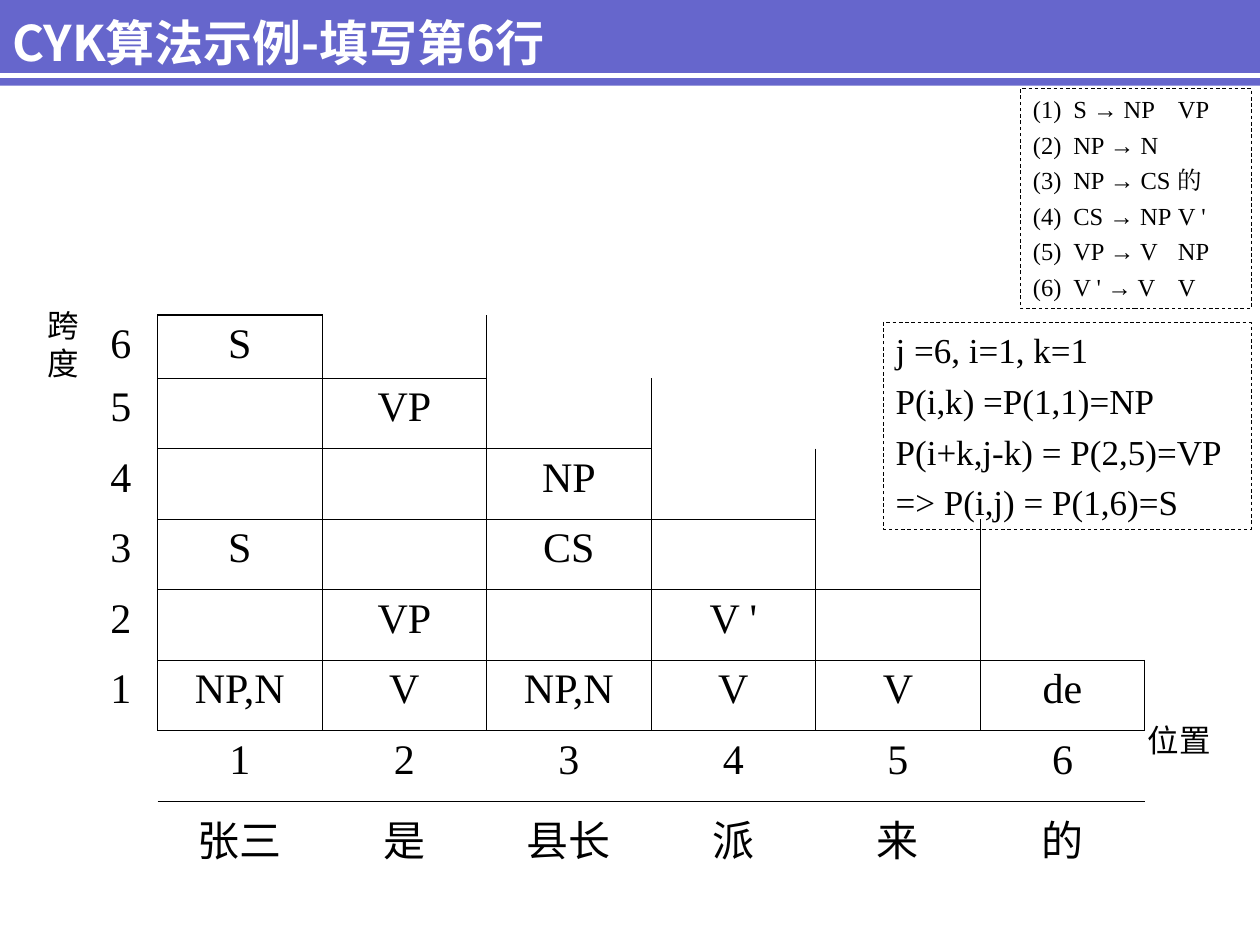
"""Build the CYK algorithm slide that fills in row 6 of the chart."""
from lxml import etree
from pptx import Presentation, util as u
from pptx.dml.color import RGBColor
from pptx.enum import dml, shapes, text
from pptx.oxml import ns

CJK, SERIF, SANS, LABEL = "Noto Sans CJK SC", "Times New Roman", "Arial", "Calibri"
THEME = {
    "bar": RGBColor(0x66, 0x66, 0xCC),
    "white": RGBColor(255, 255, 255),
    "ink": RGBColor(0, 0, 0),
    "title": {"size": u.Pt(28), "name": CJK, "bold": True},
    "cell": {"size": u.Pt(24), "name": SERIF},
    "axis": {"size": u.Pt(18), "name": LABEL},
    "steps": {"size": u.Pt(20), "name": SERIF},
    "rules": {"size": u.Pt(14), "name": SERIF},
}
NO_GRID = "{2D5ABB26-0587-4C30-8999-92F81FD0307C}"


def add_tag(parent, tag, **attributes):
    return etree.SubElement(parent, ns.qn(tag), attributes)


def write(frame, lines, style, color="ink", gap=0, tabs=(), align=text.PP_ALIGN.LEFT, east=None):
    frame.word_wrap = True
    for index, line in enumerate(lines):
        para = frame.add_paragraph() if index else frame.paragraphs[0]
        para.alignment = align
        if index:
            para.space_before = u.Pt(gap)
        if tabs:
            stops = add_tag(para._p.get_or_add_pPr(), "a:tabLst")
            for stop in tabs:
                add_tag(stops, "a:tab", pos=str(u.Inches(stop)), algn="l")
        for piece in filter(None, line.partition("→")):
            span = para.add_run()
            span.text = piece
            values = dict(THEME[style])
            if piece == "→":
                values["name"] = SANS
            for key, value in values.items():
                setattr(span.font, key, value)
            span.font.color.rgb = THEME[color]
            add_tag(span._r.get_or_add_rPr(), "a:ea", typeface=east or values["name"])


deck = Presentation()
deck.slide_width, deck.slide_height = u.Inches(10), u.Inches(7.5)
page = deck.slides.add_slide(deck.slide_layouts[6])

bar = page.shapes.add_shape(
    shapes.MSO_SHAPE.RECTANGLE, u.Inches(-0.04), u.Inches(-0.03), u.Inches(10.04), u.Inches(0.71))
bar.shadow.inherit = False
bar.fill.solid()
bar.fill.fore_color.rgb = THEME["bar"]
bar.line.fill.background()

stripe = page.shapes.add_connector(
    shapes.MSO_CONNECTOR.STRAIGHT, u.Inches(-0.04), u.Inches(0.6), u.Inches(10), u.Inches(0.6))
stripe.line.color.rgb = THEME["white"]
stripe.line.width = u.Pt(3)
add_tag(stripe._element.spPr, "a:effectLst")

title = page.shapes.add_textbox(u.Inches(0), u.Inches(-0.11), u.Inches(9.5), u.Inches(0.88))
title.text_frame.vertical_anchor = text.MSO_ANCHOR.MIDDLE
write(title.text_frame, ["CYK算法示例-填写第6行"], "title", color="white")

chart_rows = [
    ["6", "S"],
    ["5", "", "VP"],
    ["4", "", "", "NP"],
    ["3", "S", "", "CS", ""],
    ["2", "", "VP", "", "V '", ""],
    ["1", "NP,N", "V", "NP,N", "V", "V", "de"],
    ["", "1", "2", "3", "4", "5", "6"],
    ["", "张三", "是", "县长", "派", "来", "的"],
]
column_widths = [0.58] + [1.306] * 6
row_heights = [0.5] + [0.56] * 6 + [0.55]
frame = page.shapes.add_table(8, 7, u.Inches(0.67), u.Inches(2.5), u.Inches(8.42), u.Inches(4.39))
table = frame.table
table.first_row = table.horz_banding = False
table._tbl.tblPr.find(ns.qn("a:tableStyleId")).text = NO_GRID
for column, width in zip(table.columns, column_widths):
    column.width = u.Inches(width)
for row, height in zip(table.rows, row_heights):
    row.height = u.Inches(height)

boxed = {(row, column) for row in range(6) for column in range(1, row + 2)}
sides = {"a:lnL": (0, -1), "a:lnR": (0, 1), "a:lnT": (-1, 0), "a:lnB": (1, 0)}
for row in range(8):
    for column in range(7):
        cell = table.cell(row, column)
        words = chart_rows[row][column] if column < len(chart_rows[row]) else ""
        write(cell.text_frame, [words], "cell", align=text.PP_ALIGN.CENTER, east=CJK)
        properties = cell._tc.get_or_add_tcPr()
        for side, (down, across) in sides.items():
            if boxed & {(row, column), (row + down, column + across)}:
                points = 1.08 if (row, column, side) == (0, 1, "a:lnT") else 0.45
                border = add_tag(properties, side, w=str(u.Pt(points)))
                add_tag(add_tag(border, "a:solidFill"), "a:srgbClr", val=str(THEME["ink"]))
        cell.fill.background()
for row in range(2):
    table.cell(row, 4).merge(table.cell(row, 6))

for words, left, top, width, height in [
    ("跨度", 0.28, 2.38, 0.6, 0.7),
    ("位置", 9.01, 5.67, 0.98, 0.4),
]:
    box = page.shapes.add_textbox(*map(u.Inches, (left, top, width, height)))
    write(box.text_frame, [words], "axis")

steps = ["j =6, i=1, k=1", "P(i,k) =P(1,1)=NP", "P(i+k,j-k) = P(2,5)=VP", "=> P(i,j) = P(1,6)=S"]
rules = [
    "(1)\tS → NP\tVP",
    "(2)\tNP → N",
    "(3)\tNP → CS\t的",
    "(4)\tCS → NP\tV '",
    "(5)\tVP → V\tNP",
    "(6)\tV ' → V\tV",
]
for lines, style, gap, tabs, place in [
    (steps, "steps", 5, (), (7.01, 2.56, 2.92, 1.64)),
    (rules, "rules", 3.5, (0.32, 1.15), (8.1, 0.7, 1.83, 1.75)),
]:
    box = page.shapes.add_shape(shapes.MSO_SHAPE.RECTANGLE, *map(u.Inches, place))
    box.shadow.inherit = False
    box.fill.background()
    box.line.color.rgb = THEME["ink"]
    box.line.width = u.Pt(0.5)
    box.line.dash_style = dml.MSO_LINE.DASH
    box.text_frame.vertical_anchor = text.MSO_ANCHOR.TOP
    write(box.text_frame, lines, style, gap=gap, tabs=tabs)

deck.save("out.pptx")
